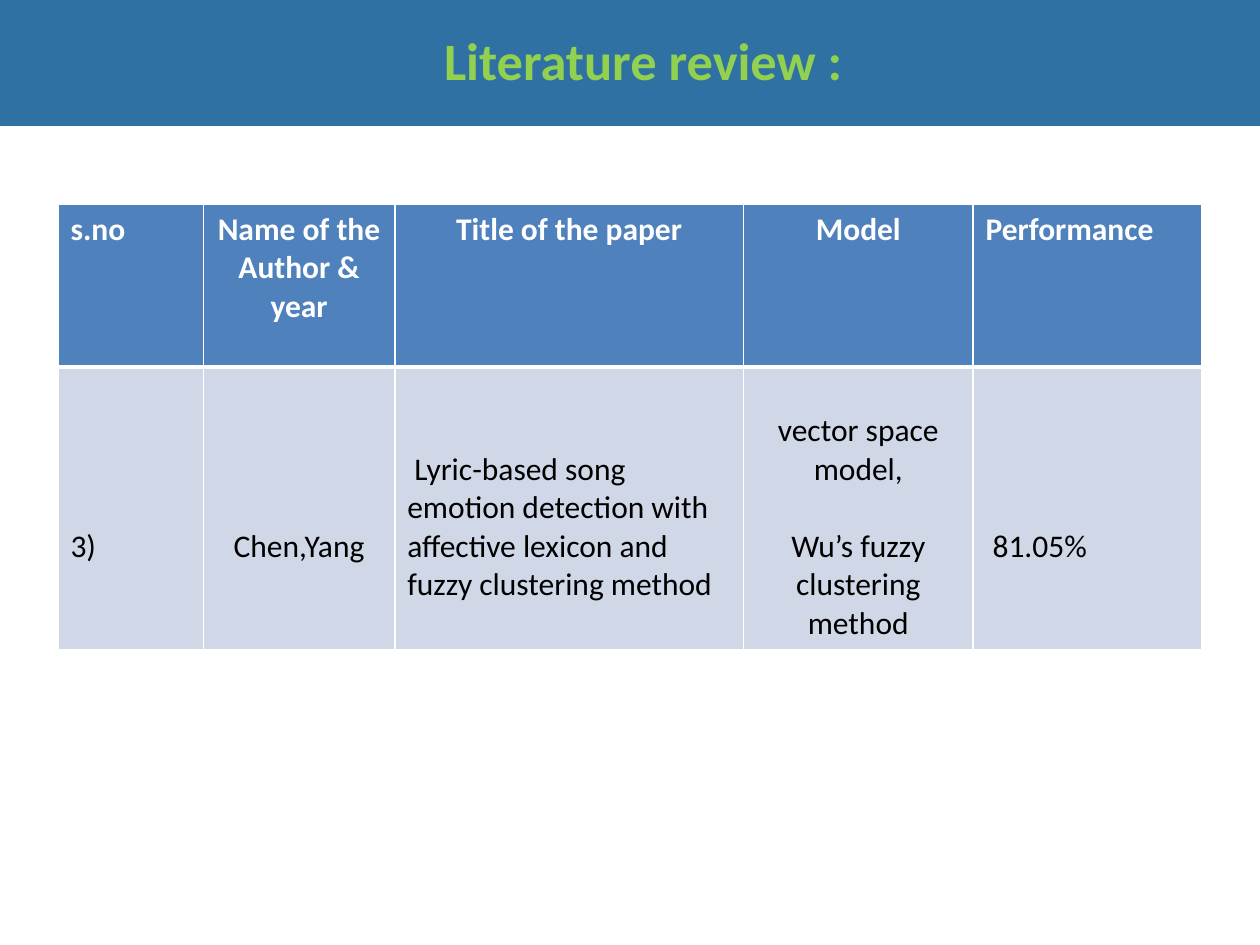
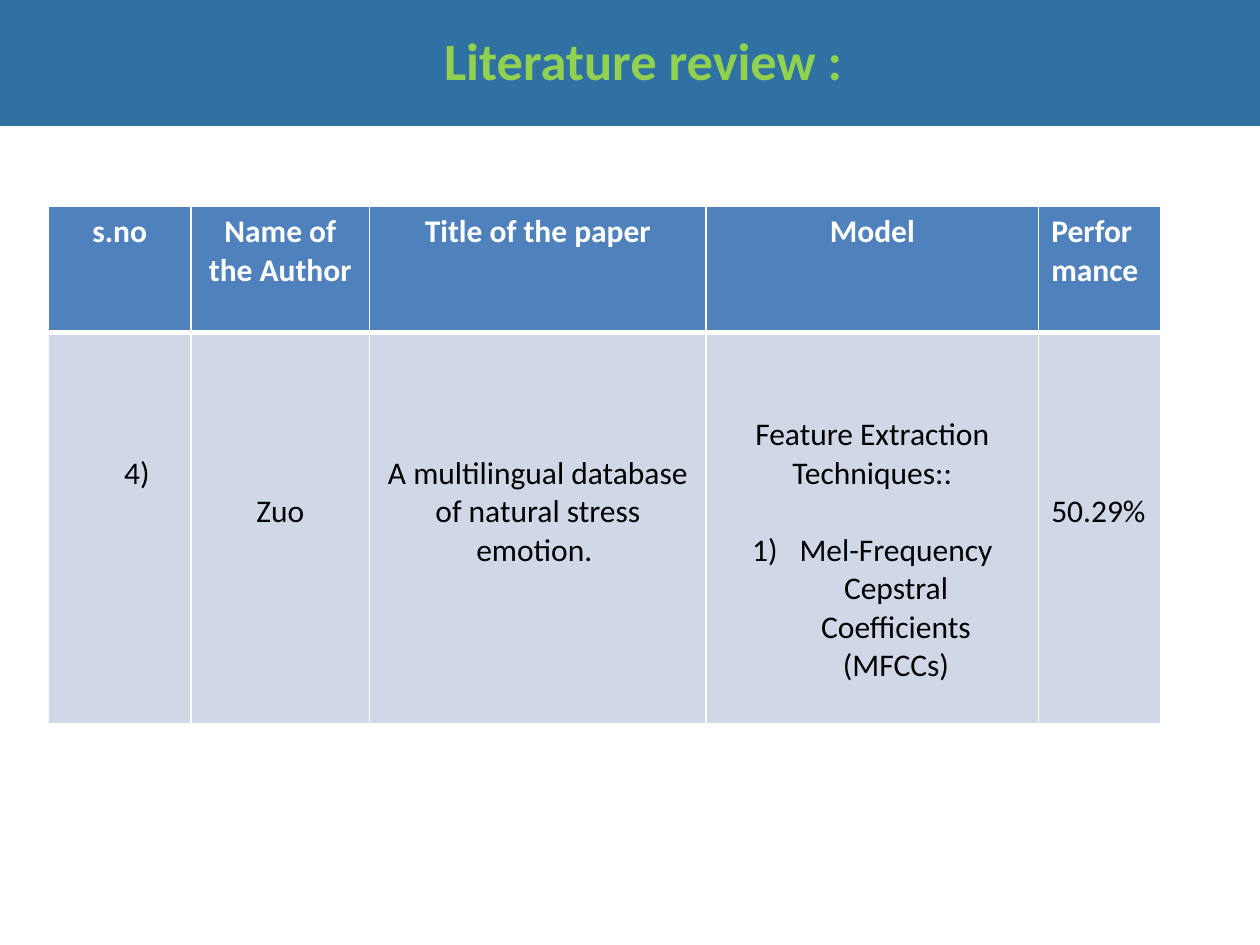
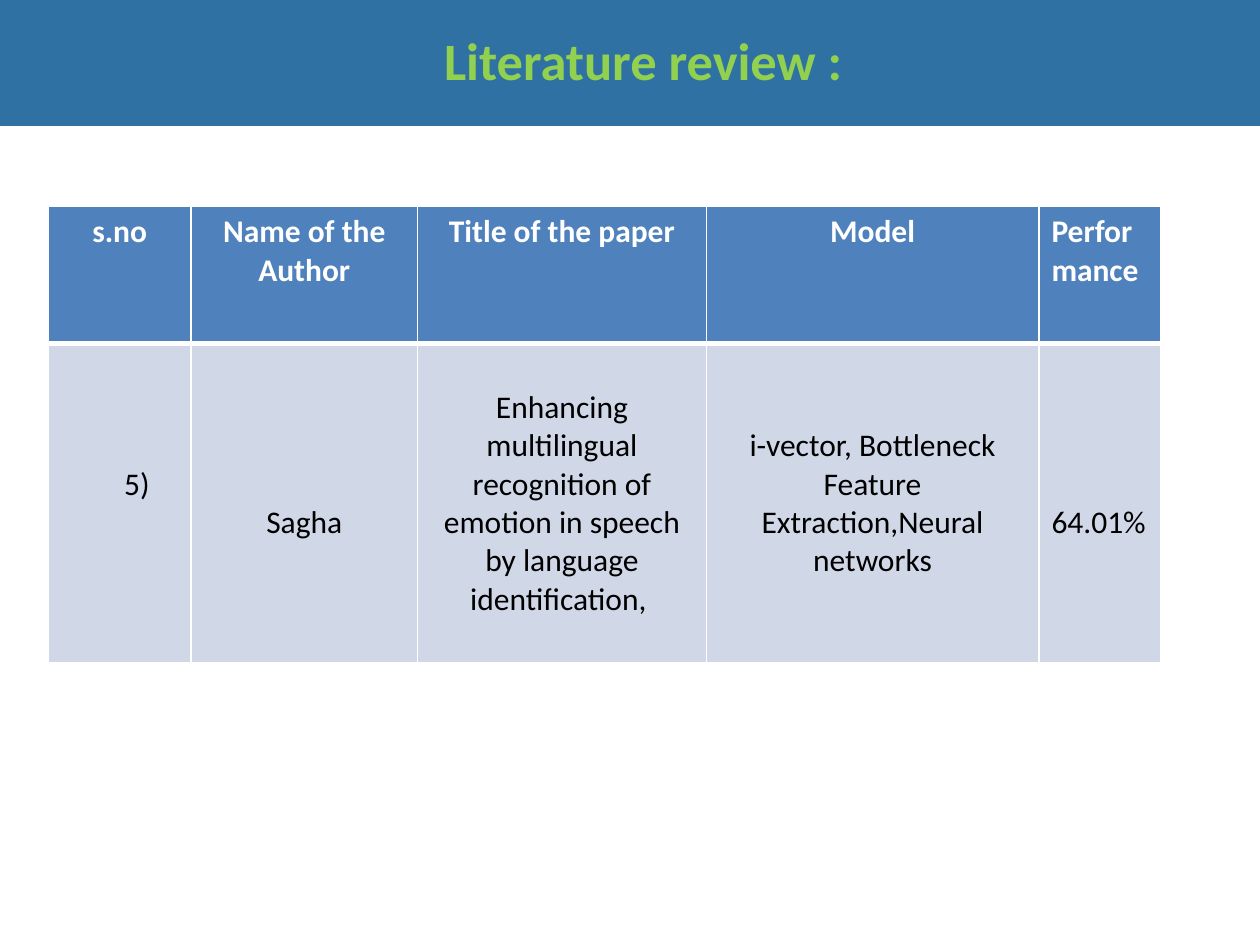
"""Build three literature review slides, each with a title band and a table."""
from pptx import Presentation
from pptx.dml.color import RGBColor
from pptx.enum.shapes import MSO_SHAPE
from pptx.enum.text import MSO_AUTO_SIZE, PP_ALIGN
from pptx.oxml.ns import qn
from pptx.util import Pt
from lxml.etree import SubElement

BAND_BLUE = RGBColor(0x2F, 0x71, 0xA2)
TITLE_GREEN = RGBColor(0x92, 0xD0, 0x50)
HEADER_BLUE = RGBColor(0x4F, 0x81, 0xBD)
BODY_BLUE = RGBColor(0xD0, 0xD8, 0xE8)
WHITE = RGBColor(0xFF, 0xFF, 0xFF)
BLACK = RGBColor(0x00, 0x00, 0x00)

FONT = "Calibri"
LINE_HEIGHT = 22
CELL_MARGIN = 3.6
LEFT, CENTER = PP_ALIGN.LEFT, PP_ALIGN.CENTER

REVIEWS = [
    {
        "position": (33.1, 116.6),
        "columns": (83.1, 109.4, 199.4, 131, 131),
        "rows": (93.2, 161.7),
        "author_heading": "Name of the Author & year",
        "number_alignment": LEFT,
        "number_indent": 0,
        "body": [
            (["3)"], 4, LEFT),
            (["Chen,Yang"], 4, CENTER),
            ([" Lyric-based song emotion detection with affective lexicon and fuzzy clustering method"], 2, LEFT),
            (["vector space model,", "Wu’s fuzzy clustering method"], 1, CENTER),
            ([" 81.05%"], 4, LEFT),
        ],
    },
    {
        "position": (27.7, 118.1),
        "columns": (81.4, 102.2, 192.2, 190.1, 69.8),
        "rows": (72, 223.2),
        "author_heading": "Name of the Author",
        "number_alignment": CENTER,
        "number_indent": 36,
        "body": [
            (["4)"], 3, LEFT),
            (["Zuo"], 4, CENTER),
            (["A multilingual database of natural stress emotion. "], 3, CENTER),
            (["Feature Extraction Techniques::", "Mel-Frequency Cepstral Coefficients (MFCCs)"], 2, CENTER),
            (["50.29%"], 4, LEFT),
        ],
    },
    {
        "position": (27.7, 118.1),
        "columns": (81.4, 129.6, 164.9, 190.1, 69.8),
        "rows": (78.1, 182.5),
        "author_heading": "Name of the Author",
        "number_alignment": CENTER,
        "number_indent": 36,
        "body": [
            (["5)"], 3, LEFT),
            (["Sagha"], 4, CENTER),
            (["Enhancing multilingual recognition of emotion in speech by language identification, "], 1, CENTER),
            (["i-vector, Bottleneck Feature Extraction,Neural networks"], 2, CENTER),
            (["64.01%"], 4, LEFT),
        ],
    },
]


def add_text(paragraph, text, size, color, bold, alignment):
    paragraph.alignment = alignment
    run = paragraph.add_run()
    run.text = text
    run.font.name = FONT
    run.font.size = Pt(size)
    run.font.bold = bold
    run.font.color.rgb = color


def set_indent(paragraph, margin, first_line):
    properties = paragraph._p.get_or_add_pPr()
    properties.set("marL", str(Pt(margin)))
    properties.set("indent", str(Pt(first_line)))
    return properties


presentation = Presentation()
presentation.slide_width = Pt(720)
presentation.slide_height = Pt(540)

for review in REVIEWS:
    slide = presentation.slides.add_slide(presentation.slide_layouts[6])

    band = slide.shapes.add_shape(MSO_SHAPE.RECTANGLE, Pt(0), Pt(0), Pt(720), Pt(72))
    band.shadow.inherit = False
    band.fill.solid()
    band.fill.fore_color.rgb = BAND_BLUE
    band.line.fill.background()

    title = slide.shapes.add_textbox(Pt(132.5), Pt(12.2), Pt(470.2), Pt(43.9))
    title.text_frame.word_wrap = True
    title.text_frame.auto_size = MSO_AUTO_SIZE.SHAPE_TO_FIT_TEXT
    add_text(title.text_frame.paragraphs[0], "Literature review :", 30, TITLE_GREEN, True, CENTER)

    left, top = review["position"]
    width, height = sum(review["columns"]), sum(review["rows"])
    table = slide.shapes.add_table(2, 5, Pt(left), Pt(top), Pt(width), Pt(height)).table
    for column, column_width in zip(table.columns, review["columns"]):
        column.width = Pt(column_width)
    for row, row_height in zip(table.rows, review["rows"]):
        row.height = Pt(row_height)

    header = [
        (["s.no"], 0, review["number_alignment"]),
        ([review["author_heading"]], 0, CENTER),
        (["Title of the paper"], 0, CENTER),
        (["Model"], 0, CENTER),
        (["Performance"], 0, LEFT),
    ]
    styles = [
        (header, HEADER_BLUE, WHITE, True, {"L": 1, "R": 1, "T": 1, "B": 3}),
        (review["body"], BODY_BLUE, BLACK, False, {"L": 1, "R": 1, "T": 3, "B": 1}),
    ]
    for row_index, (contents, fill_color, text_color, bold, borders) in enumerate(styles):
        for column_index, (texts, lines_above, alignment) in enumerate(contents):
            cell = table.cell(row_index, column_index)
            cell.margin_top = Pt(CELL_MARGIN + lines_above * LINE_HEIGHT)
            for side, line_width in borders.items():
                border = SubElement(cell._tc.get_or_add_tcPr(), qn(f"a:ln{side}"), w=str(Pt(line_width)))
                border_fill = SubElement(border, qn("a:solidFill"))
                SubElement(border_fill, qn("a:srgbClr"), val=str(WHITE))
            cell.fill.solid()
            cell.fill.fore_color.rgb = fill_color

            for text_index, text in enumerate(texts):
                paragraph = cell.text_frame.paragraphs[0]
                if text_index:
                    paragraph = cell.text_frame.add_paragraph()
                    paragraph.space_before = Pt(LINE_HEIGHT)
                add_text(paragraph, text, 18, text_color, bold, alignment)
                if text.startswith("Mel-Frequency"):
                    properties = set_indent(paragraph, 27, -27)
                    SubElement(properties, qn("a:buFont"), typeface=FONT)
                    SubElement(properties, qn("a:buAutoNum"), type="arabicParenR")

    set_indent(table.cell(1, 0).text_frame.paragraphs[0], review["number_indent"], 0)

presentation.save("out.pptx")
